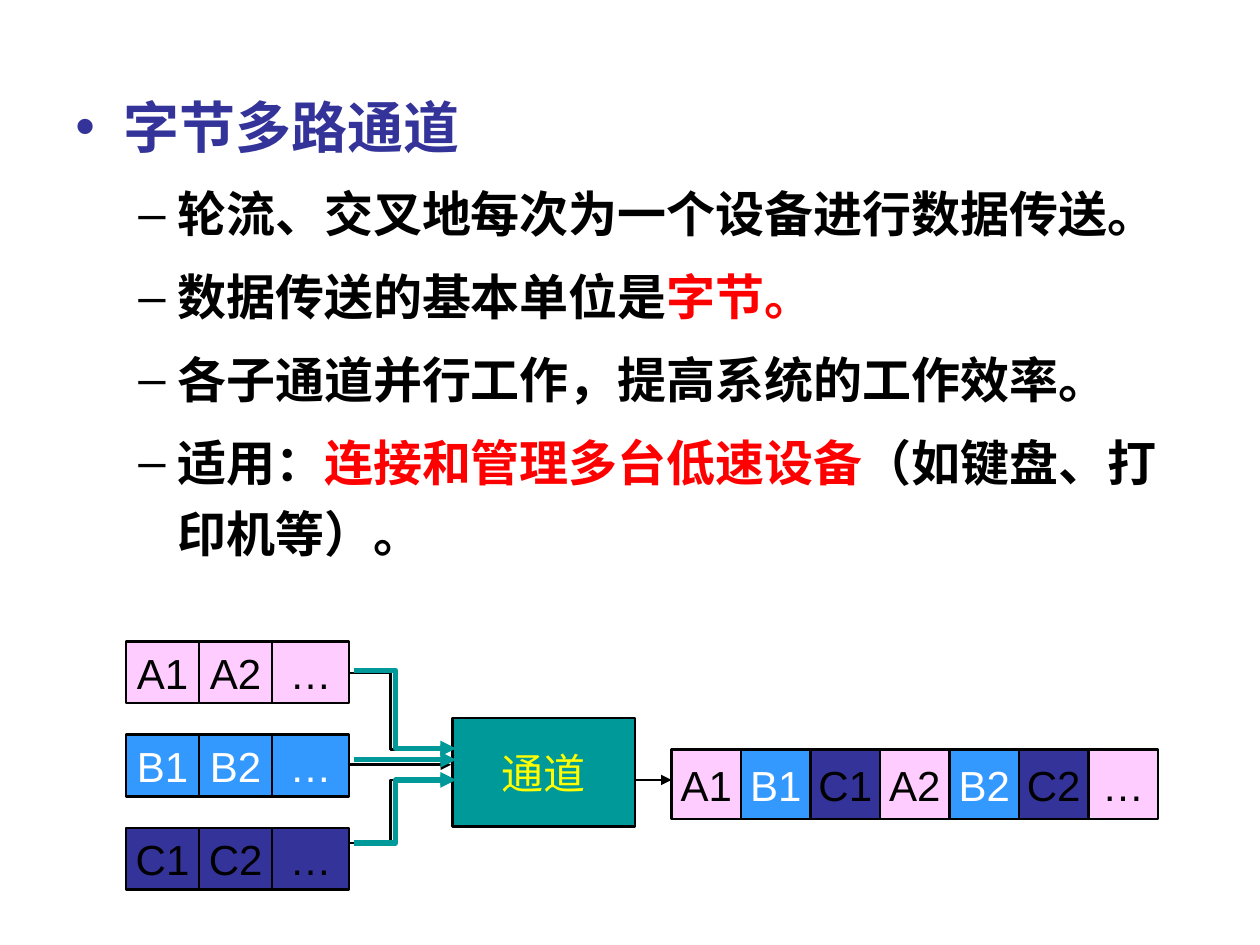
import pptx
import pptx.dml.color
import pptx.enum.shapes
import pptx.enum.text
import pptx.oxml
import pptx.oxml.ns
import pptx.util
from pptx.util import Inches

FONT = "Arial"
BLACK, WHITE, RED, YELLOW = "000000", "FFFFFF", "FF0000", "FFFF00"
NAVY, TEAL, PINK, SKY = "333399", "009999", "FFCCFF", "3399FF"

# Fill and text colour of each device's data
DEVICE_COLOURS = {"A": (PINK, BLACK), "B": (SKY, WHITE), "C": (NAVY, BLACK)}
BYTE_WIDTHS = (0.58, 0.58, 0.61)

HEADING = [("字节多路通道", NAVY)]
POINTS = [
    [("轮流、交叉地每次为一个设备进行数据传送。", BLACK)],
    [("数据传送的基本单位是", BLACK), ("字节。", RED)],
    [("各子通道并行工作，提高系统的工作效率。", BLACK)],
    [("适用：", BLACK), ("连接和管理多台低速设备", RED),
     ("（如键盘、打印机等）。", BLACK)],
]


def colour(hex_value):
    return pptx.dml.color.RGBColor.from_string(hex_value)


def add_child(parent, tag, **attributes):
    child = pptx.oxml.parse_xml(f"<a:{tag} {pptx.oxml.ns.nsdecls('a')}/>")
    for name, value in attributes.items():
        child.set(name, str(value))
    parent.append(child)
    return child


def add_run(paragraph, text, size, hex_value, bold=False):
    run = paragraph.add_run()
    run.text = text
    run.font.name = FONT
    run.font.size = pptx.util.Pt(size)
    run.font.bold = bold
    run.font.color.rgb = colour(hex_value)


def set_bullet(paragraph, char, hex_value, margin, hanging):
    properties = paragraph._p.get_or_add_pPr()
    properties.set("marL", str(Inches(margin)))
    properties.set("indent", str(-Inches(hanging)))
    bullet_colour = add_child(properties, "buClr")
    add_child(bullet_colour, "srgbClr", val=hex_value)
    add_child(properties, "buFont", typeface=FONT)
    add_child(properties, "buChar", char=char)


def add_explanation(slide, left, top, width, height):
    box = slide.shapes.add_textbox(
        Inches(left), Inches(top), Inches(width), Inches(height))
    frame = box.text_frame
    frame.word_wrap = True
    for index, parts in enumerate([HEADING] + POINTS):
        if index == 0:
            paragraph, size = frame.paragraphs[0], 32
            set_bullet(paragraph, "•", NAVY, 0.38, 0.38)
        else:
            paragraph, size = frame.add_paragraph(), 28
            paragraph.level = 1
            paragraph.space_before = pptx.util.Pt(7)
            set_bullet(paragraph, "–", BLACK, 0.81, 0.31)
        paragraph.line_spacing = 1.2
        for text, hex_value in parts:
            add_run(paragraph, text, size, hex_value, bold=True)


def add_block(slide, left, top, width, height, text, fill, text_colour):
    block = slide.shapes.add_shape(
        pptx.enum.shapes.MSO_SHAPE.RECTANGLE,
        Inches(left), Inches(top), Inches(width), Inches(height))
    block.shadow.inherit = False
    block.fill.solid()
    block.fill.fore_color.rgb = colour(fill)
    block.line.color.rgb = colour(BLACK)
    block.line.width = pptx.util.Pt(1.5)
    frame = block.text_frame
    frame.margin_left = frame.margin_right = 0
    frame.margin_top = frame.margin_bottom = 0
    frame.word_wrap = False
    frame.vertical_anchor = pptx.enum.text.MSO_ANCHOR.MIDDLE
    paragraph = frame.paragraphs[0]
    paragraph.alignment = pptx.enum.text.PP_ALIGN.CENTER
    add_run(paragraph, text, 24, text_colour)


def add_arrow(slide, points, hex_value, weight):
    """Straight arrow for two points, bent arrow for more."""
    points = [(Inches(x), Inches(y)) for x, y in points]
    if len(points) == 2:
        arrow = slide.shapes.add_connector(
            pptx.enum.shapes.MSO_CONNECTOR.STRAIGHT, *points[0], *points[1])
    else:
        builder = slide.shapes.build_freeform(*points[0])
        builder.add_line_segments(points[1:], close=False)
        arrow = builder.convert_to_shape()
        arrow.fill.background()
        arrow.shadow.inherit = False
    arrow.line.color.rgb = colour(hex_value)
    arrow.line.width = pptx.util.Pt(weight)
    properties = arrow._element.spPr
    add_child(properties.find(pptx.oxml.ns.qn("a:ln")), "tailEnd", type="triangle")
    if len(points) == 2:
        add_child(properties, "effectLst")


def add_device_queues(slide, left, top, height, pitch):
    for row, (device, colours) in enumerate(DEVICE_COLOURS.items()):
        x = left
        labels = (f"{device}1", f"{device}2", "…")
        for label, width in zip(labels, BYTE_WIDTHS):
            add_block(slide, x, top + row * pitch, width, height, label, *colours)
            x += width


def add_input_arrows(slide, left, width, bend, levels, hex_value, weight):
    """Join each (start, end) height pair, bending where they differ."""
    right = left + width
    for start, end in levels:
        points = [(left, start), (right, end)]
        if start != end:
            points[1:1] = [(left + bend, start), (left + bend, end)]
        add_arrow(slide, points, hex_value, weight)


def add_merged_stream(slide, left, top, width, height):
    labels = ("A1", "B1", "C1", "A2", "B2", "C2", "…")
    step = width / len(labels)
    for index, label in enumerate(labels):
        colours = DEVICE_COLOURS["ABC"[index % 3]]
        add_block(slide, left + index * step, top, step, height, label, *colours)


def main():
    presentation = pptx.Presentation()
    presentation.slide_width = Inches(10)
    presentation.slide_height = Inches(7.5)
    slide = presentation.slides.add_slide(presentation.slide_layouts[6])

    add_explanation(slide, 0.5, 0.58, 9, 4.08)
    add_block(slide, 3.59, 5.7, 1.45, 0.86, "通道", TEAL, YELLOW)
    add_device_queues(slide, 1, 5.09, 0.49, 0.74)
    add_input_arrows(slide, 2.78, 0.8, 0.32,
                     [(5.34, 5.95), (6.07, 6.07), (6.69, 6.19)], BLACK, 1.5)
    add_arrow(slide, [(5.04, 6.19), (5.33, 6.19)], BLACK, 1.5)
    add_merged_stream(slide, 5.33, 5.95, 3.86, 0.55)
    add_input_arrows(slide, 2.81, 0.81, 0.33,
                     [(5.32, 5.94), (6.03, 6.03), (6.69, 6.19)], TEAL, 3)

    presentation.save("out.pptx")


if __name__ == "__main__":
    main()
